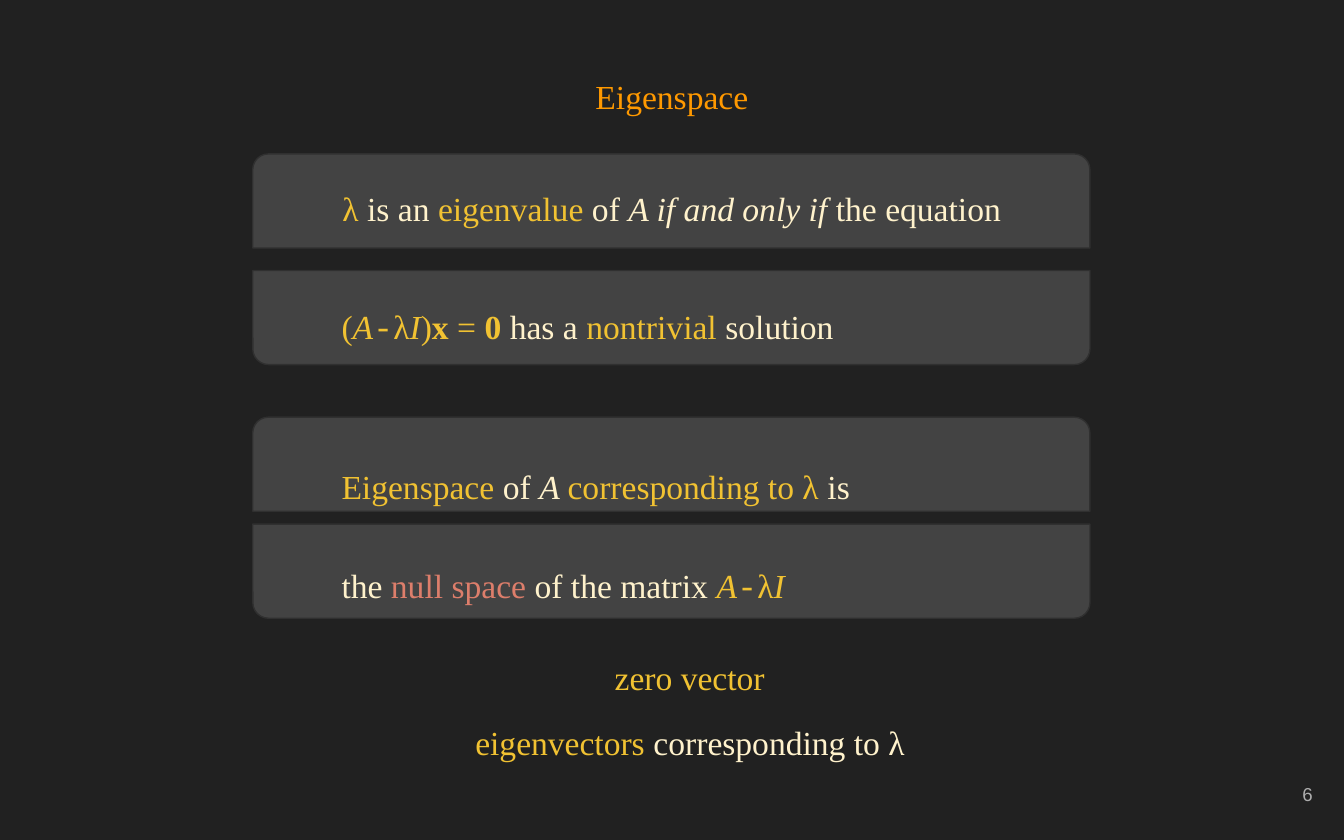
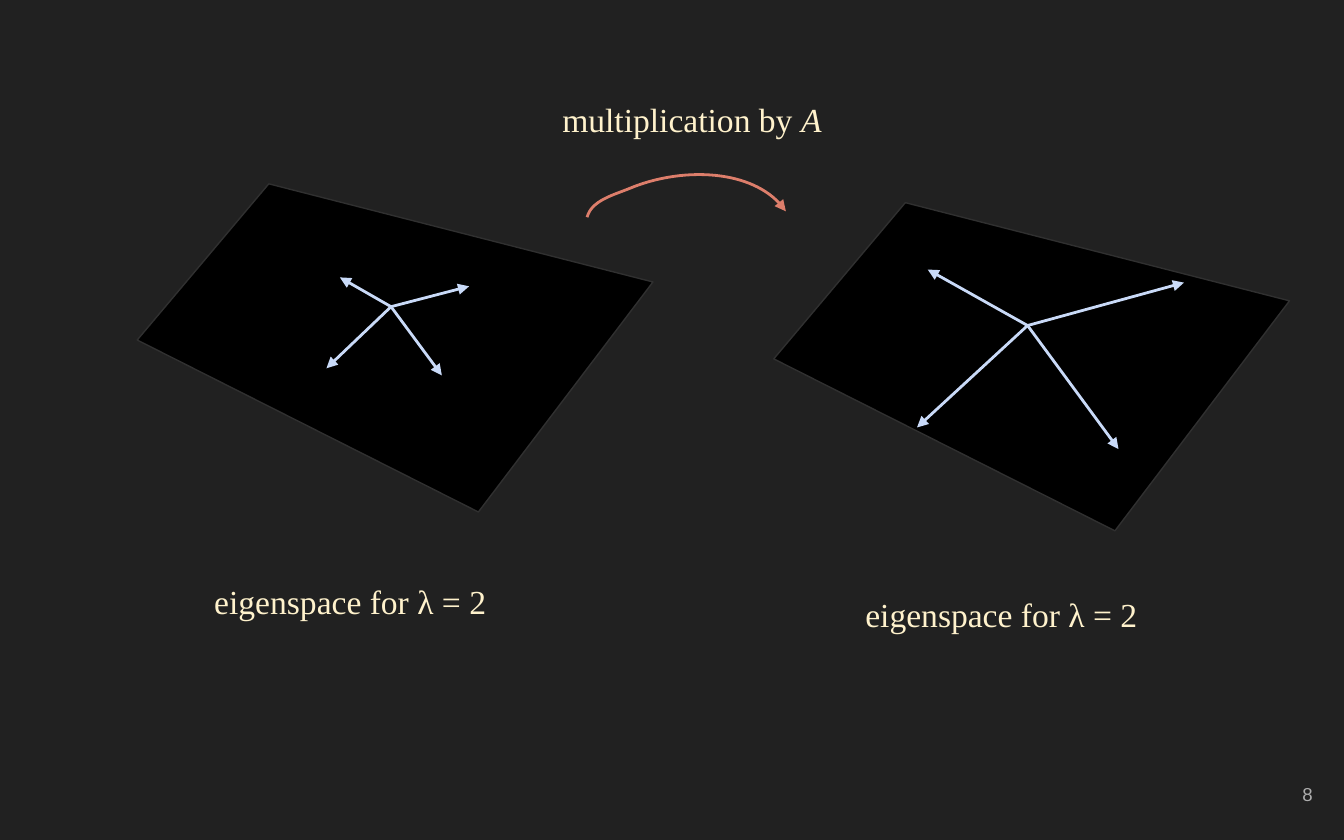
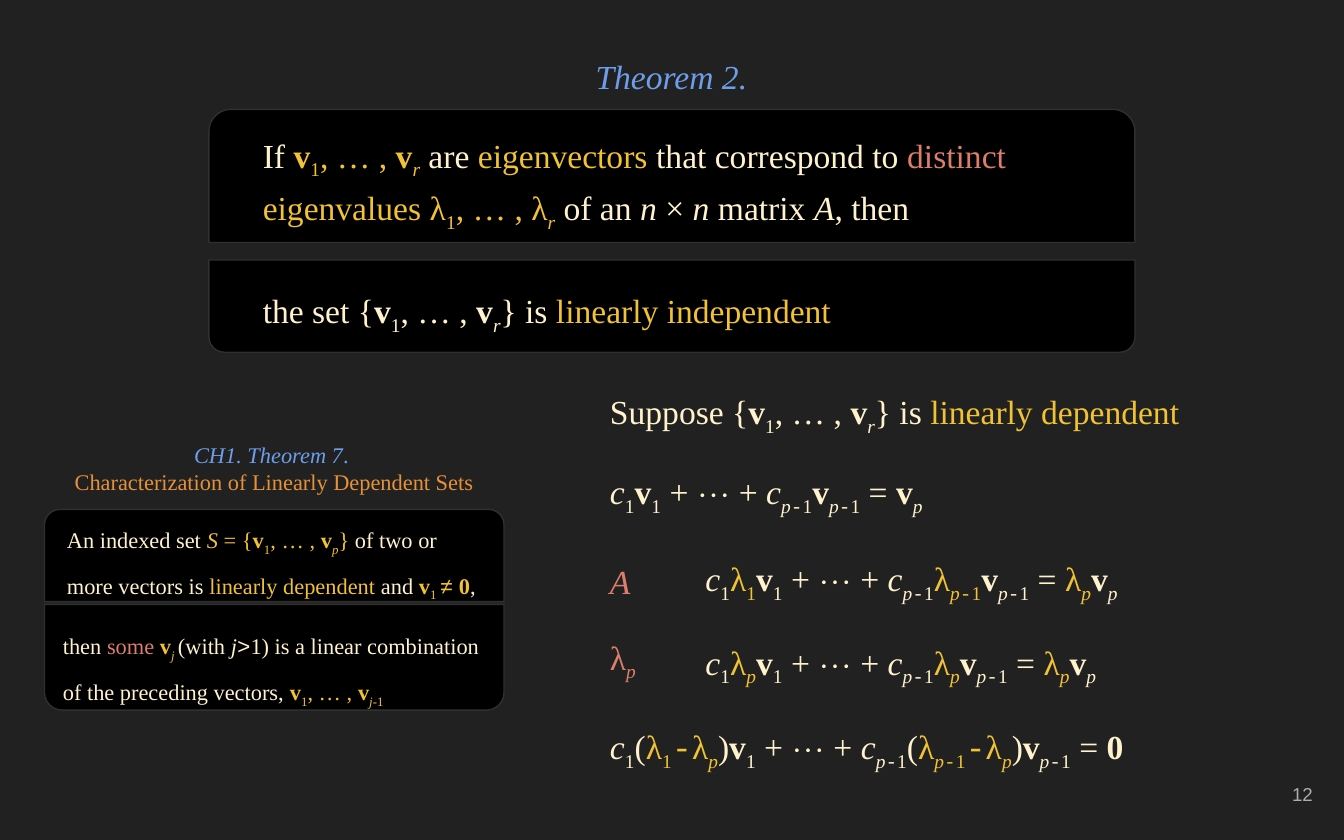
import pptx
import pptx.util
import pptx.dml.color
import pptx.enum.shapes
import pptx.enum.text
import pptx.oxml
import pptx.oxml.ns

Pt = pptx.util.Pt
qn = pptx.oxml.ns.qn
RGB = pptx.dml.color.RGBColor.from_string
SHAPE = pptx.enum.shapes.MSO_SHAPE
ALIGN = pptx.enum.text.PP_ALIGN
ANCHOR = pptx.enum.text.MSO_ANCHOR

THEME = {
    "size": (720, 450), "bg": "212121", "edge": "303030", "plane": "000000",
    "card": "434343", "vector": "C9DAF8", "curve": "DD7E6B",
    "serif": "Times New Roman", "mono": "Courier New", "sans": "Arial",
    "body": 18, "small": 12, "number": 10, "inset": 7.2,
    "thin": 0.75, "thick": 1.5,
    "ink": {"c": "FFF2CC", "y": "F1C232", "r": "DD7E6B", "o": "FF9900",
            "t": "E69138", "u": "6D9EEB", "g": "ADADAD"},
}
OPERATORS = {"+": (" + ", ""), "=": (" = ", ""), "⋯": ("⋯", ""),
             "...": (", … , ", ""), "(": ("(", ""), ")": (")", ""),
             "-": ("-", "ym"), "0": ("0", "b")}
BASE_STYLE = {"v": "b", "c": "i", "λ": ""}


def math(source, ink=""):
    runs = []
    for token in source.split():
        if token in OPERATORS:
            text, style = OPERATORS[token]
            runs.append((text, style + ink))
            continue
        base, index = token.split("_")
        colour = ink or ("y" if base == "λ" else "c")
        runs.append((base, BASE_STYLE[base] + colour))
        for ch in index:
            kind = "i" if ch.isalpha() else "m" if ch == "-" else ""
            runs.append((ch, "s" + kind + colour))
    return runs


EIGENSPACE = {
    "number": "6",
    "title": {"at": (24.5, 30.2, 671, 34.6), "ls": 1.15, "al": "c", "sa": 16,
              "paras": [[("Eigenspace", "o")]]},
    "cards": [(135.4, y, 448.5, 50.4, "card", flip) for y, flip in
              [(82.5, 0), (144.9, 180), (223.5, 0), (280.8, 180)]],
    "texts": [
        {"at": (176.4, 90, 415.4, 39.6), "sa": 16, "paras": [[
            ("λ", "y"), (" is an ", ""), ("eigenvalue ", "y"), ("of ", ""),
            ("A if and only if", "i"), (" the equation", "")]]},
        {"at": (175.9, 153.4, 415.4, 39.6), "paras": [[
            ("(", "y"), ("A", "yi"), ("-", "ym"), ("λ", "y"), ("I", "yi"),
            (")", "y"), ("x", "yb"), (" = ", "y"), ("0", "yb"),
            (" has a ", ""), ("nontrivial ", "y"), ("solution", "")]]},
        {"at": (175.9, 239, 388, 39.6), "sa": 16, "anchor": "m", "paras": [[
            ("Eigenspace ", "y"), ("of ", ""), ("A ", "i"),
            ("corresponding to λ", "y"), (" is ", "")]]},
        {"at": (175.9, 292, 388, 39.6), "sa": 16, "anchor": "m", "paras": [[
            ("the ", ""), ("null space", "r"), (" of the matrix ", ""),
            ("A", "yi"), ("-", "ym"), ("λ", "y"), ("I ", "yi")]]},
        {"at": (317, 341.3, 105.1, 39.6), "al": "c",
         "paras": [[("zero vector", "y")]]},
        {"at": (246.2, 376.3, 247, 39.6), "al": "c", "paras": [[
            ("eigenvectors ", "y"), ("corresponding to λ ", "")]]},
    ],
}

PLANE = [(144, 98.5), (73.5, 182.2), (256.3, 274.3), (349.8, 151.1)]
ORIGIN = (209.5, 164.3)
MULTIPLICATION = {
    "number": "8",
    "planes": [
        ((0, 0), [(41.8, -10.9), (27.2, 36.8), (-34.6, 33), (-27.4, -15.7)]),
        ((341, 10.1), [(83.8, -23), (48.7, 66.2), (-59.2, 54.6),
                       (-53.5, -30)])],
    "curve": [(314.5, 116.4), (316.8, 107.3), (329, 104.4), (337.7, 100.8),
              (363.6, 90), (405.4, 90), (421, 113.2)],
    "texts": [
        {"at": (96.2, 301, 183, 39.6), "al": "c",
         "paras": [[("eigenspace for λ = 2", "")]]},
        {"at": (445, 307.7, 183, 39.6), "al": "c",
         "paras": [[("eigenspace for λ = 2", "")]]},
        {"at": (279.2, 42.5, 183, 39.6), "al": "c",
         "paras": [[("multiplication by ", ""), ("A", "i")]]},
    ],
}

EQUATIONS = [
    (319.7, 199.2, 327.6, [("Suppose {", ""), *math("v_1 ... v_r"),
                           ("} is ", ""), ("linearly dependent", "y")]),
    (319.7, 241.9, 187.2, math("c_1 v_1 + ⋯ + c_p-1 v_p-1 = v_p")),
    (319.7, 288.5, 33.8, [("A", "ri")]),
    (370.8, 288.5, 270,
     math("c_1 λ_1 v_1 + ⋯ + c_p-1 λ_p-1 v_p-1 = λ_p v_p")),
    (319.7, 330.5, 33.8, math("λ_p", "r")),
    (370.8, 333.4, 270,
     math("c_1 λ_p v_1 + ⋯ + c_p-1 λ_p v_p-1 = λ_p v_p")),
    (319.7, 378.5, 303.1,
     math("c_1 ( λ_1 - λ_p ) v_1 + ⋯ + c_p-1 ( λ_p-1 - λ_p ) v_p-1 = 0")),
]
THEOREM = {
    "number": "12",
    "title": {"at": (34.6, 20, 650.2, 41.8), "al": "c", "sa": 16,
              "anchor": "m", "ls": 1, "paras": [[("Theorem 2.", "ui")]]},
    "cards": [(111.9, 58.6, 496.1, 71.3, "plane", 0),
              (111.9, 139.3, 496.1, 49.4, "plane", 180),
              (23.8, 272.9, 246.2, 49.4, "plane", 0),
              (23.8, 323.8, 246.2, 56.6, "plane", 180)],
    "texts": [
        {"at": (133.7, 61.2, 424, 68.4), "sa": 16, "paras": [[
            ("If ", ""), *math("v_1 ... v_r", "y"), (" are ", ""),
            ("eigenvectors ", "y"), ("that correspond to ", ""),
            ("distinct ", "r"), ("eigenvalues ", "y"),
            *math("λ_1 ... λ_r", "y"), (" of an ", ""), ("n ", "i"),
            ("× ", ""), ("n", "i"), (" matrix ", ""), ("A", "i"),
            (", then", "")]]},
        {"at": (133.7, 144.7, 424, 31.7), "sa": 16, "paras": [[
            ("the set {", ""), *math("v_1 ... v_r"), ("} is ", ""),
            ("linearly independent", "y")]]},
        {"at": (23.8, 229.7, 246.2, 41.8), "al": "c", "anchor": "m",
         "size": "small", "ls": 1, "paras": [
             [("CH1. Theorem 7", "ui"), (". ", "u")],
             [("Characterization of Linearly Dependent Sets", "t")]]},
        {"at": (26.6, 323.5, 243.4, 52.6), "sa": 16, "size": "small",
         "ls": 1.5, "paras": [[
             ("then ", ""), ("some ", "r"), ("v", "yb"), ("j ", "yis"),
             ("(with ", ""), ("j", "i"), (">", "m"),
             ("1) is a linear combination of the preceding vectors, ", ""),
             *math("v_1 ... v_j", "y"), ("-1", "ys")]]},
        {"at": (28.8, 275.9, 238, 44.6), "anchor": "m", "size": "small",
         "ls": 1.5, "paras": [[
             ("An indexed set ", ""), ("S", "yi"), (" = {", "y"),
             *math("v_1 ... v_p", "y"), ("} ", "y"),
             ("of two or more vectors is ", ""), ("linearly dependent", "y"),
             (" and ", ""), ("v", "yb"), ("1 ", "ys"), ("≠", "ym"),
             (" 0", "yb"), (",", "")]]},
        *[{"at": (x, y, w, 41.8), "anchor": "m", "paras": [runs]}
          for x, y, w, runs in EQUATIONS],
    ],
}


def put(obj, **fmt):
    for name, value in fmt.items():
        setattr(obj, name, value)


def fill_text(sp, item):
    tf = sp.text_frame
    margin = Pt(THEME["inset"])
    put(tf, word_wrap=True, auto_size=pptx.enum.text.MSO_AUTO_SIZE.NONE,
        vertical_anchor=ANCHOR.MIDDLE if item.get("anchor") else ANCHOR.TOP,
        margin_left=margin, margin_right=margin,
        margin_top=margin, margin_bottom=margin)
    align = {"l": ALIGN.LEFT, "c": ALIGN.CENTER, "r": ALIGN.RIGHT}
    for i, runs in enumerate(item["paras"]):
        p = tf.paragraphs[0] if i == 0 else tf.add_paragraph()
        put(p, alignment=align[item.get("al", "l")],
            line_spacing=item.get("ls", 1.15), space_before=Pt(0),
            space_after=Pt(item.get("sa", 0)))
        for text, style in runs:
            r = p.add_run()
            r.text = text
            ink = next((k for k in style if k in THEME["ink"]), "c")
            face = "mono" if "m" in style else item.get("font", "serif")
            put(r.font, name=THEME[face], bold="b" in style,
                italic="i" in style, size=Pt(THEME[item.get("size", "body")]))
            r.font.color.rgb = RGB(THEME["ink"][ink])
            if "s" in style:
                r._r.get_or_add_rPr().set("baseline", "-25000")


def add_text(s, item):
    fill_text(s.shapes.add_textbox(*map(Pt, item["at"])), item)


def paint(sp, line, width, fill=None):
    sp.shadow.inherit = False
    sp.line.color.rgb = RGB(THEME[line])
    sp.line.width = Pt(THEME[width])
    if fill:
        sp.fill.solid()
        sp.fill.fore_color.rgb = RGB(THEME[fill])


def add_arrowhead(sp):
    ln = sp._element.spPr.find(qn("a:ln"))
    ln.append(pptx.oxml.parse_xml(
        '<a:tailEnd xmlns:a="http://schemas.openxmlformats.org/drawingml/'
        '2006/main" type="triangle"/>'))


def add_card(s, x, y, w, h, fill, flip):
    sp = s.shapes.add_shape(SHAPE.ROUND_2_SAME_RECTANGLE,
                            *map(Pt, (x, y, w, h)))
    sp.rotation = flip
    paint(sp, "edge", "thin", fill)


def add_outline(s, points, close):
    start, *rest = [(Pt(x), Pt(y)) for x, y in points]
    fb = s.shapes.build_freeform(*start)
    fb.add_line_segments(rest, close=close)
    return fb.convert_to_shape()


def add_plane(s, shift, tips):
    dx, dy = shift
    sp = add_outline(s, [(x + dx, y + dy) for x, y in PLANE], True)
    paint(sp, "edge", "thin", "plane")
    x, y = ORIGIN[0] + dx, ORIGIN[1] + dy
    for tx, ty in tips:
        cn = s.shapes.add_connector(
            pptx.enum.shapes.MSO_CONNECTOR.STRAIGHT,
            Pt(x), Pt(y), Pt(x + tx), Pt(y + ty))
        cn.line.color.rgb = RGB(THEME["vector"])
        cn.line.width = Pt(THEME["thick"])
        add_arrowhead(cn)
        spPr = cn._element.spPr
        spPr.append(spPr.makeelement(qn("a:effectLst"), {}))


def add_curve(s, points):
    sp = add_outline(s, points, False)
    lines = list(sp._element.iter(qn("a:lnTo")))
    for i in range(0, len(lines), 3):
        bez = lines[i].makeelement(qn("a:cubicBezTo"), {})
        lines[i].addprevious(bez)
        for segment in lines[i:i + 3]:
            bez.append(segment[0])
            segment.getparent().remove(segment)
    sp.fill.background()
    paint(sp, "curve", "thick")
    add_arrowhead(sp)


def add_slide(prs, content):
    title = content.get("title")
    s = prs.slides.add_slide(prs.slide_layouts[5 if title else 6])
    if title:
        sp = s.shapes.title
        put(sp, **dict(zip(("left", "top", "width", "height"),
                           map(Pt, title["at"]))))
        fill_text(sp, title)
    add_text(s, {"at": (667.2, 408.2, 43.2, 34.6), "al": "r", "anchor": "m",
                 "size": "number", "font": "sans", "ls": 1,
                 "paras": [[(content["number"], "g")]]})
    for card in content.get("cards", []):
        add_card(s, *card)
    for plane in content.get("planes", []):
        add_plane(s, *plane)
    if "curve" in content:
        add_curve(s, content["curve"])
    for item in content["texts"]:
        add_text(s, item)


prs = pptx.Presentation()
prs.slide_width, prs.slide_height = map(Pt, THEME["size"])
bg = prs.slide_master.background.fill
bg.solid()
bg.fore_color.rgb = RGB(THEME["bg"])
for content in (EIGENSPACE, MULTIPLICATION, THEOREM):
    add_slide(prs, content)
prs.save("out.pptx")
